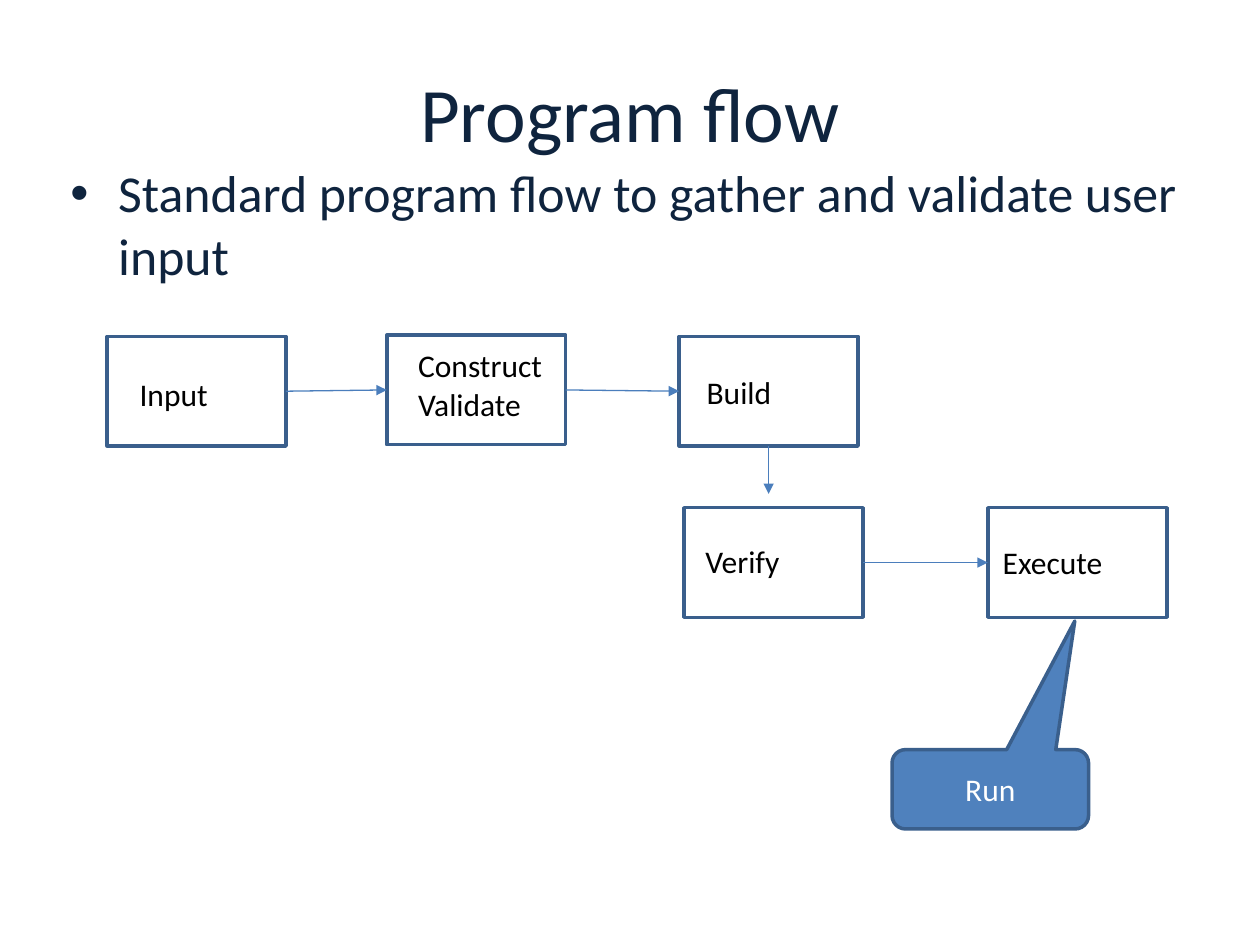
from lxml.etree import SubElement
from pptx import Presentation
from pptx.dml.color import RGBColor
from pptx.enum.shapes import MSO_CONNECTOR, MSO_SHAPE
from pptx.enum.text import MSO_ANCHOR, PP_ALIGN
from pptx.oxml.ns import qn
from pptx.util import Inches, Pt

NAVY = RGBColor(0x0F, 0x24, 0x3E)
BLACK = RGBColor(0, 0, 0)
WHITE = RGBColor(255, 255, 255)
BLUE = RGBColor(0x4F, 0x81, 0xBD)
EDGE = RGBColor(0x3A, 0x5F, 0x8C)
ARROW = RGBColor(0x4B, 0x7E, 0xBC)
WIDE, HIGH = Inches(10), Inches(7.5)
BOX_W, BOX_H = 14.2, 11.6
TOP, LOW = 35.6, 53.73
TOP_SIDE, TOP_UNDER, LEFT_SIDE, RIGHT_SIDE = 0, 2, 1, 3

# name: left and top, in percent of the slide
BOXES = {
    "Input": (8.5, TOP),
    "Construct": (30.7, 35.47),
    "Build": (53.9, TOP),
    "Verify": (54.3, LOW),
    "Execute": (78.4, LOW),
}
# text, left, top, width
LABELS = [
    ("Input", 10.1, 39.07, 9.4),
    ("Construct", 32.2, 36, 16.5),
    ("Validate", 32.2, 40.13, 16.5),
    ("Build", 55.1, 38.8, 7.2),
    ("Verify", 55, 56.67, 8),
    ("Execute", 78.6, 56.8, 10),
]
LINKS = [("Input", "Construct"), ("Construct", "Build"), ("Verify", "Execute")]


def place(x, y, *size):
    """Turn percents of the slide into lengths."""
    spans = (WIDE, HIGH, WIDE, HIGH)
    return [int(part * span / 100) for part, span in zip((x, y, *size), spans)]


def write(shape, text, size, color, align=PP_ALIGN.LEFT, anchor=MSO_ANCHOR.TOP):
    frame = shape.text_frame
    frame.text = text
    frame.word_wrap = True
    frame.vertical_anchor = anchor
    para = frame.paragraphs[0]
    para.alignment = align
    font = para.runs[0].font
    font.name, font.size = "Calibri", Pt(size)
    font.color.rgb = color
    return para


def add_text(slide, spot, *style):
    return write(slide.shapes.add_textbox(*place(*spot)), *style)


def add_bullet(para):
    props = para._p.get_or_add_pPr()
    props.set("marL", str(Inches(0.38)))
    props.set("indent", str(-Inches(0.38)))
    SubElement(props, qn("a:buFont")).set("typeface", "Arial")
    SubElement(props, qn("a:buChar")).set("char", "•")


def add_shape(slide, kind, spot, fill=None):
    shape = slide.shapes.add_shape(kind, *place(*spot))
    shape.shadow.inherit = False
    if fill is None:
        shape.fill.background()
    else:
        shape.fill.solid()
        shape.fill.fore_color.rgb = fill
    shape.line.color.rgb = EDGE
    shape.line.width = Pt(2)
    return shape


def add_arrow(slide, start, site, end=(0, 0)):
    """Draw an arrow from a site of the start box to a point."""
    arrow = slide.shapes.add_connector(
        MSO_CONNECTOR.STRAIGHT, 0, 0, *place(*end))
    arrow.begin_connect(start, site)
    arrow.line.color.rgb = ARROW
    arrow.line.width = Pt(0.75)
    SubElement(arrow.line._get_or_add_ln(), qn("a:tailEnd")).set("type", "triangle")
    SubElement(arrow._element.spPr, qn("a:effectLst"))
    return arrow


def add_flow(slide):
    boxes = {
        name: add_shape(slide, MSO_SHAPE.RECTANGLE, (*spot, BOX_W, BOX_H))
        for name, spot in BOXES.items()
    }
    for text, x, y, width in LABELS:
        add_text(slide, (x, y, width, 5.33), text, 18, BLACK)
    for start, end in LINKS:
        arrow = add_arrow(slide, boxes[start], RIGHT_SIDE)
        arrow.end_connect(boxes[end], LEFT_SIDE)
    add_arrow(slide, boxes["Build"], TOP_UNDER, (61, 52.27))


def add_callout(slide):
    note = add_shape(slide, MSO_SHAPE.ROUNDED_RECTANGULAR_CALLOUT,
                     (70.8, 79.33, 15.6, 8.4), BLUE)
    for index, value in enumerate((0.43, -2.12, 0.17)):
        note.adjustments[index] = value
    write(note, "Run", 18, WHITE, PP_ALIGN.CENTER, MSO_ANCHOR.MIDDLE)


def main():
    deck = Presentation()
    deck.slide_width, deck.slide_height = WIDE, HIGH
    slide = deck.slides.add_slide(deck.slide_layouts[6])
    add_text(slide, (5, 4, 90, 15.6), "Program flow", 44, NAVY,
             PP_ALIGN.CENTER, MSO_ANCHOR.MIDDLE)
    add_bullet(add_text(
        slide, (4.6, 16.4, 90, 12.5),
        "Standard program flow to gather and validate user input", 29.6, NAVY))
    add_flow(slide)
    add_callout(slide)
    deck.save("out.pptx")


if __name__ == "__main__":
    main()
